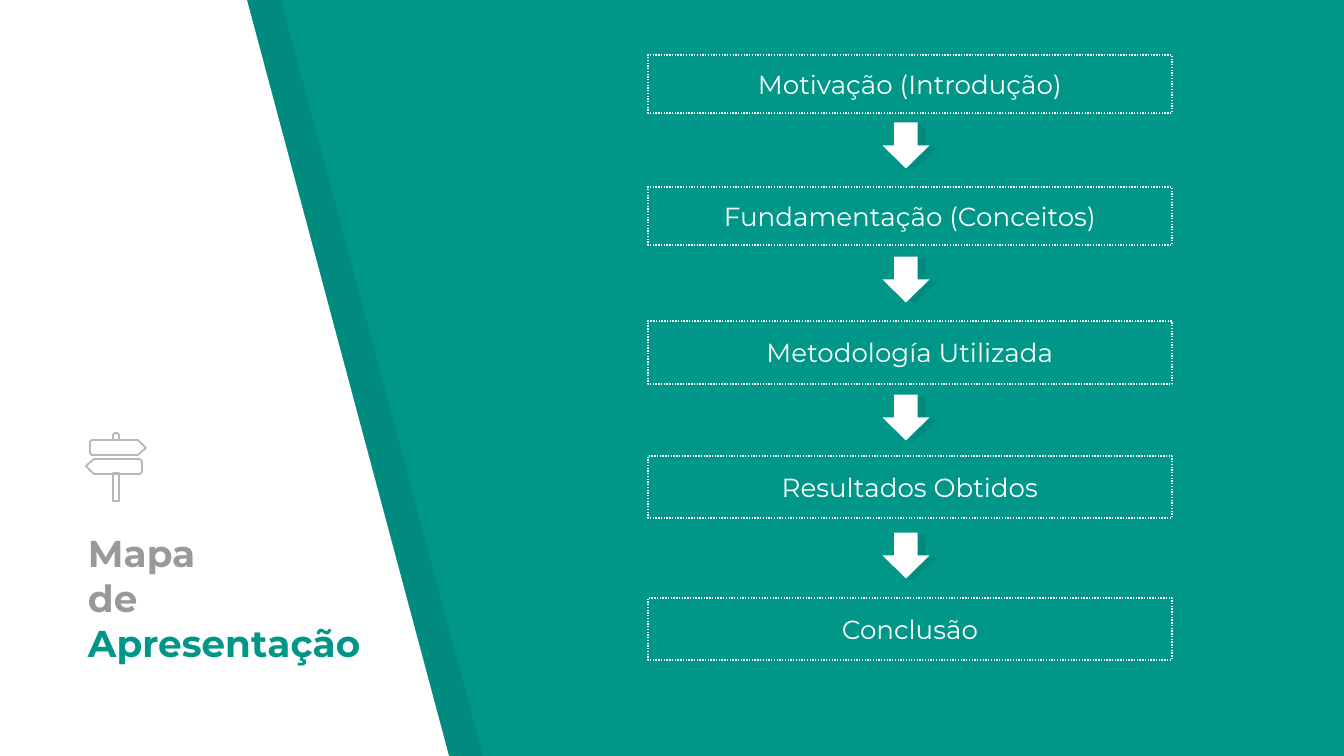
from dataclasses import dataclass
from math import cos, pi, sin

from lxml.etree import SubElement
from pptx import Presentation
from pptx.dml.color import RGBColor as Rgb
from pptx.enum.dml import MSO_LINE as Dash
from pptx.enum.shapes import MSO_SHAPE as Kind
from pptx.enum.text import MSO_ANCHOR as Anchor, PP_ALIGN as Align
from pptx.oxml.ns import qn
from pptx.util import Emu, Pt

SCALE = 914400 / 134.4
WIDE, HIGH = 1344, 756


@dataclass(frozen=True)
class Theme:
    """Hold the colours, type and line widths."""
    teal: str = "009688"
    white: str = "FFFFFF"
    black: str = "000000"
    gray: str = "999999"
    pale: str = "B7B7B7"
    font: str = "Montserrat"
    head: int = 20
    body: int = 14
    thin: float = 0.75
    stroke: float = 0.96
    shade: int = 7


THEME = Theme()


def px(num):
    """Turn pixels into EMU."""
    return Emu(round(num * SCALE))


def paint(shape, fill=None, alpha=None, line=None, width=THEME.thin, dash=None):
    """Set the fill and line of a shape."""
    shape.shadow.inherit = False
    if fill:
        shape.fill.solid()
        shape.fill.fore_color.rgb = Rgb.from_string(fill)
        if alpha:
            color = shape.fill._xPr.find(qn("a:solidFill"))[0]
            SubElement(color, qn("a:alpha")).set("val", str(alpha * 1000))
    else:
        shape.fill.background()
    if line:
        shape.line.color.rgb = Rgb.from_string(line)
        shape.line.width = Pt(width)
        if dash:
            shape.line.dash_style = dash
    else:
        shape.line.fill.background()


def write(shape, paras, size, bold=False, align=Align.LEFT, anchor=Anchor.MIDDLE):
    """Write paragraphs of (text, colour) runs into a shape."""
    frame = shape.text_frame
    frame.word_wrap = True
    frame.vertical_anchor = anchor
    frame.margin_left = frame.margin_right = px(13)
    frame.margin_top = frame.margin_bottom = px(13)
    for num, runs in enumerate(paras):
        para = frame.add_paragraph() if num else frame.paragraphs[0]
        para.alignment = align
        for text, color in runs:
            run = para.add_run()
            run.text = text
            run.font.name = THEME.font
            run.font.size = Pt(size)
            run.font.bold = bold
            run.font.color.rgb = Rgb.from_string(color)


def outline(shapes, points, **style):
    """Draw a closed outline through points."""
    pen = shapes.build_freeform(*points[0], scale=SCALE)
    pen.add_line_segments(points[1:], close=True)
    paint(pen.convert_to_shape(), **style)


def panel(shapes, shift, **style):
    """Draw the slanted left panel."""
    points = [(0, 0), (0, HIGH), (449 + shift, HIGH), (247 + shift, 0)]
    outline(shapes, points, **style)


def board(shapes, back, tip, top, **style):
    """Draw a signboard with a round back and a pointed tip."""
    side = 1 if tip > back else -1
    tall, curve = 15, 4
    neck = tip - 8 * side
    points = [(neck, top)]
    for base, start in ((top + curve, pi / 2), (top + tall - curve, pi)):
        for step in range(5):
            angle = start + step * pi / 8
            points.append((back + side * curve * (1 + cos(angle)),
                           base - curve * sin(angle)))
    points += [(neck, top + tall), (tip, top + tall / 2)]
    outline(shapes, points, **style)


def sign(shapes):
    """Draw the signpost icon."""
    style = dict(line=THEME.pale, width=THEME.stroke)
    board(shapes, 90, 146, 440, **style)
    board(shapes, 142, 86, 459, **style)
    knob = [(119, 440), (119, 435), (117, 433), (115, 433), (113, 435), (113, 440)]
    outline(shapes, knob, **style)
    outline(shapes, [(113, 473), (113, 501), (119, 501), (119, 473)], **style)


def arrow(shapes, top):
    """Draw a down arrow over its shade."""
    looks = ((8, 2, THEME.black, THEME.shade), (0, 0, THEME.white, None))
    for right, down, fill, alpha in looks:
        shape = shapes.add_shape(Kind.RIGHT_ARROW, px(883 + right), px(top + down),
                                 px(46), px(47))
        shape.rotation = 90
        paint(shape, fill=fill, alpha=alpha)


def stage(shapes, text, top, tall):
    """Draw a dotted box with its label."""
    shape = shapes.add_shape(Kind.RECTANGLE, px(648), px(top), px(524), px(tall))
    paint(shape, line=THEME.white, dash=Dash.ROUND_DOT)
    write(shape, [[(text, THEME.white)]], THEME.body, align=Align.CENTER)


def title(shapes):
    """Write the slide title."""
    box = shapes.add_textbox(px(75), px(503), px(302), px(175))
    paras = [[("Mapa", THEME.gray)],
             [("de ", THEME.gray), ("Apresentação", THEME.teal)]]
    write(box, paras, THEME.head, bold=True, anchor=Anchor.BOTTOM)


def main():
    """Build and save the slide."""
    deck = Presentation()
    deck.slide_width, deck.slide_height = px(WIDE), px(HIGH)
    slide = deck.slides.add_slide(deck.slide_layouts[6])
    slide.background.fill.solid()
    slide.background.fill.fore_color.rgb = Rgb.from_string(THEME.teal)
    shapes = slide.shapes
    panel(shapes, 34, fill=THEME.black, alpha=THEME.shade)
    panel(shapes, 0, fill=THEME.white)
    title(shapes)
    sign(shapes)
    stages = (("Motivação (Introdução)", 55, 58),
              ("Fundamentação (Conceitos)", 187, 58),
              ("Metodología Utilizada", 321, 63),
              ("Resultados Obtidos", 456, 62),
              ("Conclusão", 598, 62))
    for item in stages:
        stage(shapes, *item)
    for top in (122, 256, 394, 532):
        arrow(shapes, top)
    deck.save("out.pptx")


if __name__ == "__main__":
    main()
